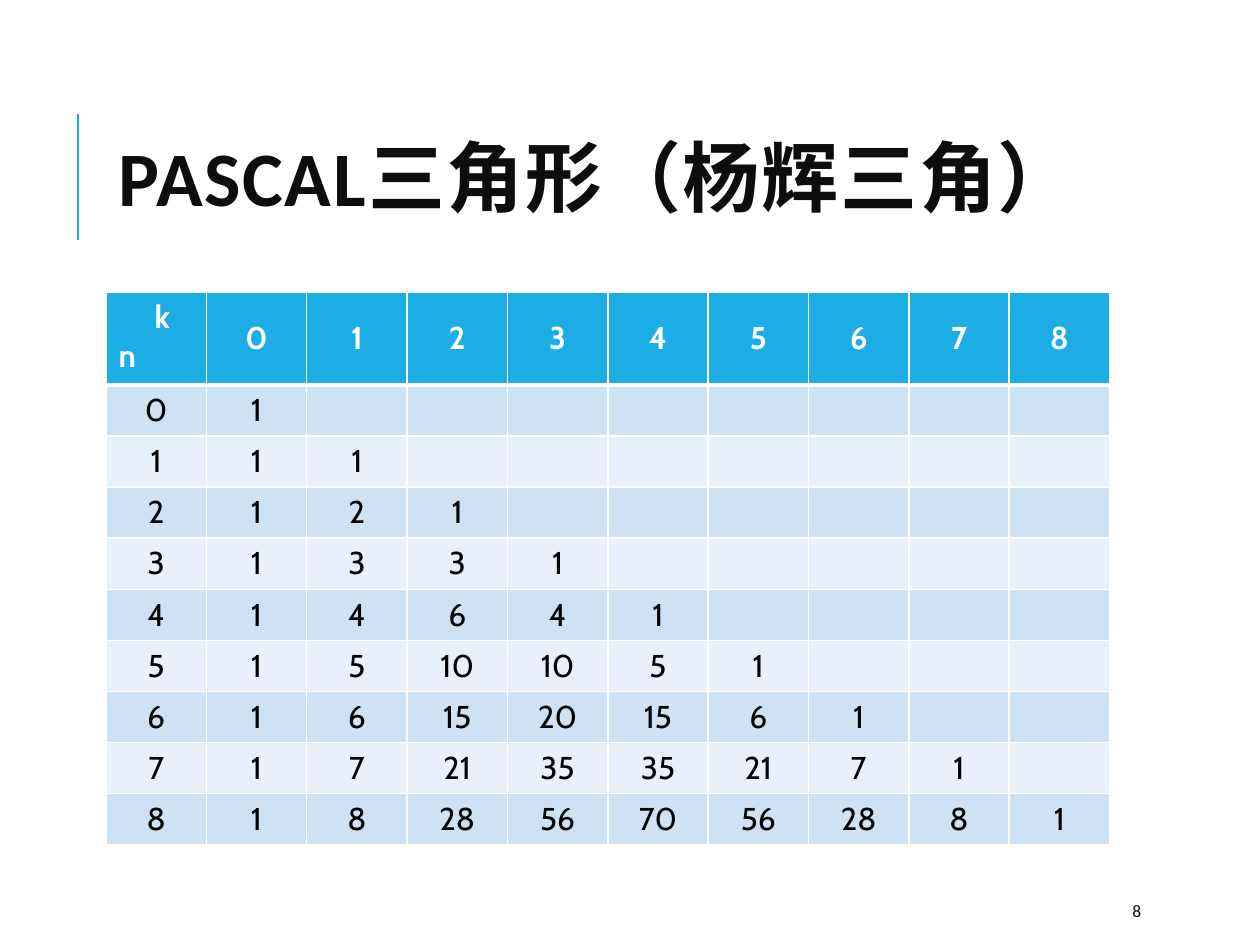
import dataclasses
import math

import lxml.etree
import pptx
import pptx.dml.color
import pptx.enum.shapes
import pptx.enum.text
import pptx.oxml.ns
import pptx.util

PX = 914400 // 126
ORDER = 9
ANCHOR = pptx.enum.text.MSO_ANCHOR
ALIGN = pptx.enum.text.PP_ALIGN


@dataclasses.dataclass(frozen=True)
class Theme:
    accent: str = "1CADE4"
    white: str = "FFFFFF"
    ink: str = "0D0D0D"
    black: str = "000000"
    bands: tuple = ("CDE3F5", "E8F1FA")
    heading_font: str = "Calibri"
    table_font: str = "Cabin"
    title_size: int = 44
    table_size: int = 18
    number_size: int = 10
    rule: float = 1.5
    border: int = 1
    header_border: int = 3


THEME = Theme()


def rgb(color):
    return pptx.dml.color.RGBColor.from_string(color)


def emu(*lengths):
    return [length * PX for length in lengths]


def add_run(paragraph, text, font, size, color, bold=False):
    run = paragraph.add_run()
    run.text = text
    run.font.name = font
    run.font.size = pptx.util.Pt(size)
    run.font.color.rgb = rgb(color)
    run.font.bold = bold
    return run


def add_heading(slide, left, top, width, height):
    """Title with the accent rule standing to its left."""
    rule_x = left - 28
    rule = slide.shapes.add_connector(
        pptx.enum.shapes.MSO_CONNECTOR.STRAIGHT,
        *emu(rule_x, top + 159, rule_x, top + 33))
    rule.line.color.rgb = rgb(THEME.accent)
    rule.line.width = pptx.util.Pt(THEME.rule)
    lxml.etree.SubElement(rule._element.spPr, pptx.oxml.ns.qn("a:effectLst"))

    title = slide.shapes.title
    title.left, title.top, title.width, title.height = emu(left, top, width, height)
    frame = title.text_frame
    frame.word_wrap = True
    frame.auto_size = pptx.enum.text.MSO_AUTO_SIZE.NONE
    frame.vertical_anchor = ANCHOR.MIDDLE
    paragraph = frame.paragraphs[0]
    paragraph.alignment = ALIGN.LEFT
    paragraph.line_spacing = 0.8
    run = add_run(paragraph, "PASCAL三角形（杨辉三角）", THEME.heading_font,
                  THEME.title_size, THEME.ink, bold=True)
    run.font._element.set("spc", "100")


def set_borders(cell, top, bottom):
    properties = cell._tc.get_or_add_tcPr()
    sides = {"lnL": THEME.border, "lnR": THEME.border, "lnT": top, "lnB": bottom}
    for side, points in sides.items():
        line = lxml.etree.SubElement(properties, pptx.oxml.ns.qn(f"a:{side}"),
                                     w=str(pptx.util.Pt(points)))
        fill = lxml.etree.SubElement(line, pptx.oxml.ns.qn("a:solidFill"))
        lxml.etree.SubElement(fill, pptx.oxml.ns.qn("a:srgbClr"), val=THEME.white)


def style_cell(cell, row):
    set_borders(cell,
                THEME.header_border if row == 1 else THEME.border,
                THEME.header_border if row == 0 else THEME.border)
    cell.fill.solid()
    cell.fill.fore_color.rgb = rgb(THEME.bands[(row - 1) % 2] if row else THEME.accent)


def write_number(cell, number, header):
    if header:
        cell.vertical_anchor = ANCHOR.MIDDLE
    paragraph = cell.text_frame.paragraphs[0]
    paragraph.alignment = ALIGN.CENTER
    add_run(paragraph, str(number), THEME.table_font, THEME.table_size,
            THEME.white if header else THEME.black, bold=header)


def write_corner(cell):
    """Column variable k set to the right, row variable n below it."""
    frame = cell.text_frame
    k_line, n_line = frame.paragraphs[0], frame.add_paragraph()
    k_line._p.get_or_add_pPr().set("marL", str(36 * PX))
    for paragraph, variable in ((k_line, "k"), (n_line, "n")):
        add_run(paragraph, variable, THEME.table_font, THEME.table_size,
                THEME.white, bold=True)


def add_triangle(slide, left, top, width, header_height, row_height):
    size = ORDER + 1
    height = header_height + ORDER * row_height
    table = slide.shapes.add_table(size, size, *emu(left, top, width, height)).table
    for column in table.columns:
        column.width = width * PX // size
    for index, row in enumerate(table.rows):
        row.height = (row_height if index else header_height) * PX
        for cell in row.cells:
            style_cell(cell, index)

    write_corner(table.cell(0, 0))
    for n in range(ORDER):
        write_number(table.cell(0, n + 1), n, header=True)
        write_number(table.cell(n + 1, 0), n, header=False)
        for k in range(n + 1):
            write_number(table.cell(n + 1, k + 1), math.comb(n, k), header=False)


def add_page_number(slide, left, top, width, height):
    frame = slide.shapes.add_textbox(*emu(left, top, width, height)).text_frame
    frame.word_wrap = True
    frame.vertical_anchor = ANCHOR.MIDDLE
    add_run(frame.paragraphs[0], "8", THEME.heading_font, THEME.number_size, THEME.ink)


def main():
    deck = pptx.Presentation()
    deck.slide_width, deck.slide_height = emu(1260, 945)
    slide = deck.slides.add_slide(deck.slide_layouts[5])
    add_heading(slide, 106, 81, 1004, 207)
    add_triangle(slide, 106, 292, 1004, 93, 51)
    add_page_number(slide, 1120, 892, 101, 38)
    deck.save("out.pptx")


if __name__ == "__main__":
    main()
